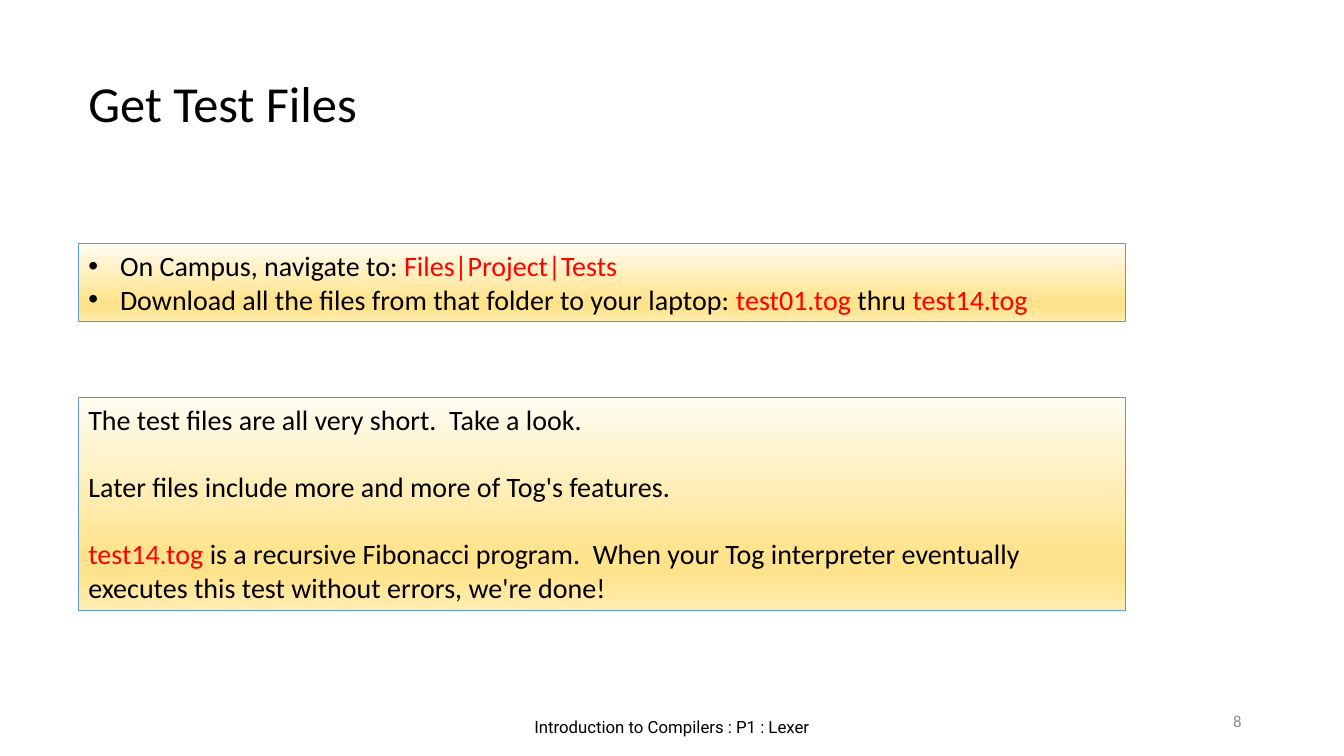
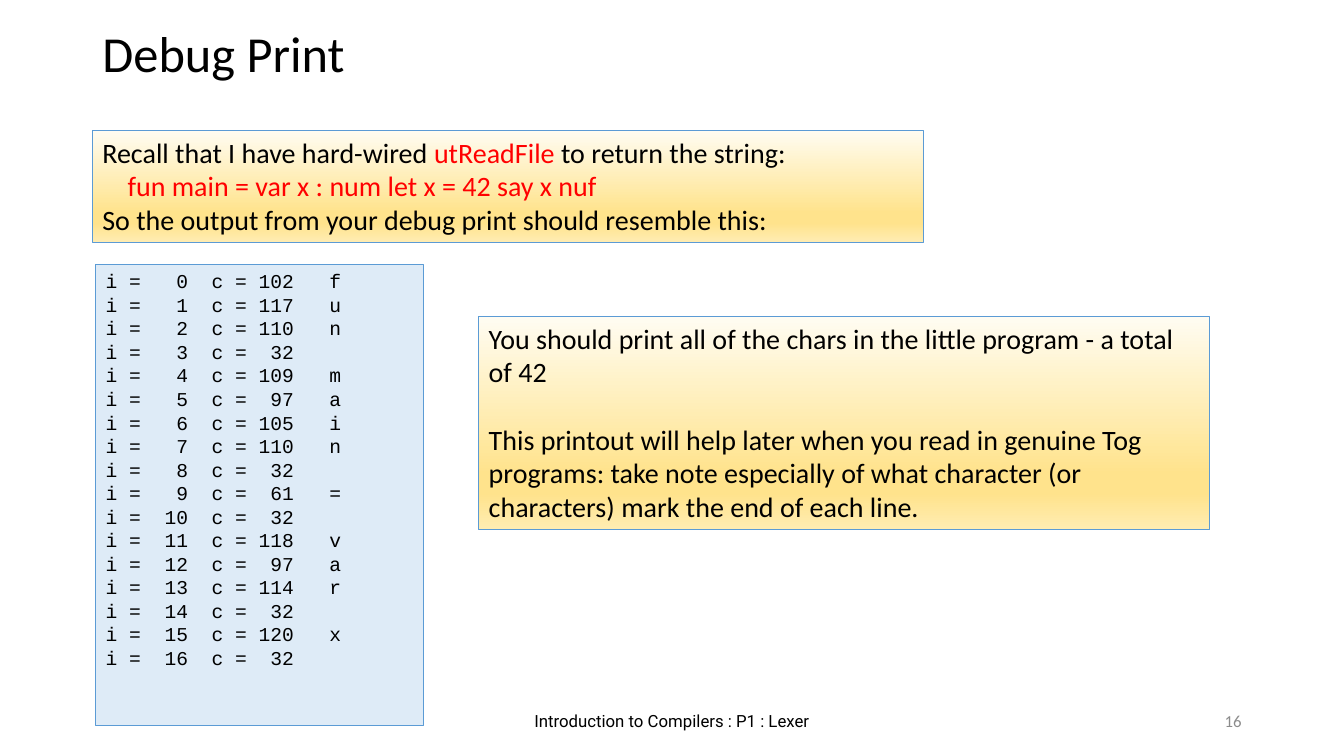
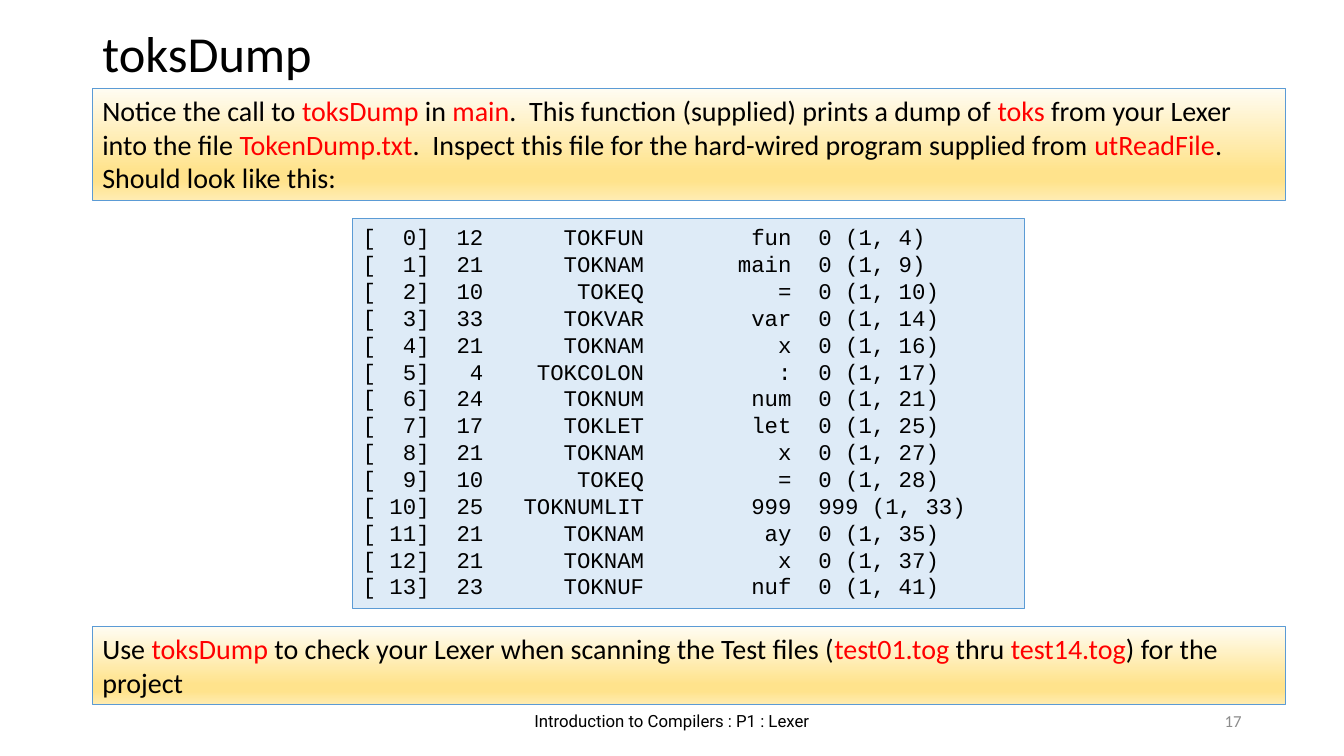
from lxml.etree import SubElement
from pptx import Presentation
from pptx.dml.color import RGBColor
from pptx.enum.shapes import MSO_SHAPE
from pptx.enum.text import MSO_ANCHOR, MSO_AUTO_SIZE, PP_ALIGN
from pptx.oxml.ns import qn
from pptx.util import Pt


def color(value):
    return RGBColor.from_string(value)


class Deck:
    """Holds the shared style and the current slide."""

    BLACK, RED, GRAY = "000000", "FF0000", "8C8C8C"
    OUTLINE, CODE_FILL = "5B9BD5", "DEEBF7"
    GRADIENT = [(0, "FFFCF2"), (74, "FFE38C"), (83, "FFE38C"), (100, "FFECB2")]
    FOOTER = "Introduction to Compilers : P1 : Lexer"
    TITLE_ONLY, TITLE_AND_BODY = 5, 1

    def __init__(self):
        self.presentation = Presentation()
        self.presentation.slide_width = Pt(960)
        self.presentation.slide_height = Pt(540)
        self.slide = None

    def new_slide(self, title, number, title_box=(66, 12.25, 774, 51),
                  layout=TITLE_ONLY, footer_top=500.4):
        layouts = self.presentation.slide_layouts
        self.slide = self.presentation.slides.add_slide(layouts[layout])
        shape = self.slide.shapes.title
        self.place(shape, title_box)
        self.set_text(shape, [title], 36)
        self.label(self.FOOTER, (318, footer_top, 324, 28.8),
                   PP_ALIGN.CENTER, "Roboto", self.BLACK)
        self.label(str(number), (678, 500.4, 216, 28.8),
                   PP_ALIGN.RIGHT, "Calibri", self.GRAY)

    def place(self, shape, box):
        shape.left, shape.top, shape.width, shape.height = map(Pt, box)

    def set_text(self, shape, lines, size, font="Calibri", ink=BLACK,
                 align=PP_ALIGN.LEFT, anchor=MSO_ANCHOR.TOP, gap=0):
        frame = shape.text_frame
        frame.word_wrap = True
        frame.auto_size = MSO_AUTO_SIZE.NONE
        frame.vertical_anchor = anchor
        for index, line in enumerate(lines):
            paragraph = frame.add_paragraph() if index else frame.paragraphs[0]
            paragraph.alignment = align
            paragraph.space_before = Pt(gap if index else 0)
            paragraph.font.size = Pt(size)
            paragraph.font.name = font
            paragraph.font.color.rgb = color(ink)
            for position, text in enumerate(line.split("`")):
                if text:
                    run = paragraph.add_run()
                    run.text = text
                    if position % 2:
                        run.font.color.rgb = color(self.RED)

    def label(self, text, box, align, font, ink):
        shape = self.slide.shapes.add_textbox(*map(Pt, box))
        self.set_text(shape, [text], 12, font, ink, align, MSO_ANCHOR.MIDDLE)

    def outline(self, shape):
        shape.shadow.inherit = False
        shape.line.color.rgb = color(self.OUTLINE)
        shape.line.width = Pt(0.75)

    def fill_gradient(self, shape):
        shape.fill.gradient()
        shape.fill.gradient_angle = 270
        stops = next(shape._element.spPr.iter(qn("a:gsLst")))
        stops.clear()
        for percent, value in self.GRADIENT:
            stop = SubElement(stops, qn("a:gs"), pos=str(percent * 1000))
            SubElement(stop, qn("a:srgbClr"), val=value)

    def rectangle(self, box):
        shape = self.slide.shapes.add_shape(MSO_SHAPE.RECTANGLE, *map(Pt, box))
        self.outline(shape)
        return shape

    def panel(self, lines, box, gap=0):
        shape = self.rectangle(box)
        self.fill_gradient(shape)
        self.set_text(shape, lines, 20, gap=gap)
        return shape

    def bullet_panel(self, lines, box):
        shape = self.slide.placeholders[1]
        self.place(shape, box)
        self.fill_gradient(shape)
        self.outline(shape)
        self.set_text(shape, lines, 20)
        for paragraph in shape.text_frame.paragraphs:
            self.indent(paragraph, 22.5, -22.5)
            properties = paragraph._p.get_or_add_pPr()
            SubElement(properties, qn("a:buFont"), typeface="Arial")
            SubElement(properties, qn("a:buChar"), char="•")
            properties.append(properties.find(qn("a:defRPr")))

    def indent(self, paragraph, left, first=0):
        properties = paragraph._p.get_or_add_pPr()
        properties.set("marL", str(Pt(left)))
        properties.set("indent", str(Pt(first)))

    def code(self, lines, box, size):
        shape = self.rectangle(box)
        shape.fill.solid()
        shape.fill.fore_color.rgb = color(self.CODE_FILL)
        self.set_text(shape, lines, size, "Courier New")


deck = Deck()

deck.new_slide("Get Test Files", 8, (56, 48.25, 331, 51),
               Deck.TITLE_AND_BODY, 504.7)
deck.bullet_panel([
    "On Campus, navigate to: `Files|Project|Tests`",
    "Download all the files from that folder to your laptop: "
    "`test01.tog` thru `test14.tog`",
], (56, 174, 748, 55.5))
deck.panel([
    "The test files are all very short.  Take a look.",
    "Later files include more and more of Tog's features.",
    "`test14.tog` is a recursive Fibonacci program.  When your Tog interpreter "
    "eventually executes this test without errors, we're done!",
], (56, 283.75, 748, 152.5), gap=24)

deck.new_slide("Debug Print", 16)
deck.code([f"i = {index:>3}  c = {ord(char):>3}   {char}".rstrip()
           for index, char in enumerate("fun main = var x ")],
          (68.4, 188.75, 234, 329.75), 14)
recall = deck.panel([
    "Recall that I have hard-wired `utReadFile` to return the string:",
    "`fun main = var x : num let x = 42 say x nuf`",
    "So the output from your debug print should resemble this:",
], (66, 93, 594, 80))
deck.indent(recall.text_frame.paragraphs[1], 18)
deck.panel([
    "You should print all of the chars in the little program - a total of 42",
    "This printout will help later when you read in genuine Tog programs: take "
    "note especially of what character (or characters) mark the end of each line.",
], (342, 226, 522, 152.5), gap=24)

deck.new_slide("toksDump", 17)
deck.panel([
    "Notice the call to `toksDump` in `main`.  This function (supplied) prints a "
    "dump of `toks` from your Lexer into the file `TokenDump.txt`.  Inspect this "
    "file for the hard-wired program supplied from `utReadFile`.  Should look "
    "like this:",
], (66, 63.25, 852, 80))
tokens = [
    (12, "TOKFUN", "fun", 0, 4),
    (21, "TOKNAM", "main", 0, 9),
    (10, "TOKEQ", "=", 0, 10),
    (33, "TOKVAR", "var", 0, 14),
    (21, "TOKNAM", "x", 0, 16),
    (4, "TOKCOLON", ":", 0, 17),
    (24, "TOKNUM", "num", 0, 21),
    (17, "TOKLET", "let", 0, 25),
    (21, "TOKNAM", "x", 0, 27),
    (10, "TOKEQ", "=", 0, 28),
    (25, "TOKNUMLIT", "999", 999, 33),
    (21, "TOKNAM", "ay", 0, 35),
    (21, "TOKNAM", "x", 0, 37),
    (23, "TOKNUF", "nuf", 0, 41),
]
deck.code([f"[{index:>3}]  {kind:>2}{name:>12}{lexeme:>11}  {value} (1, {column})"
           for index, (kind, name, lexeme, value, column) in enumerate(tokens)],
          (252, 156, 480, 278.75), 16)
deck.panel([
    "Use `toksDump` to check your Lexer when scanning the Test files "
    "(`test01.tog` thru `test14.tog`) for the project",
], (66, 447.75, 852, 55.5))

deck.presentation.save("out.pptx")
